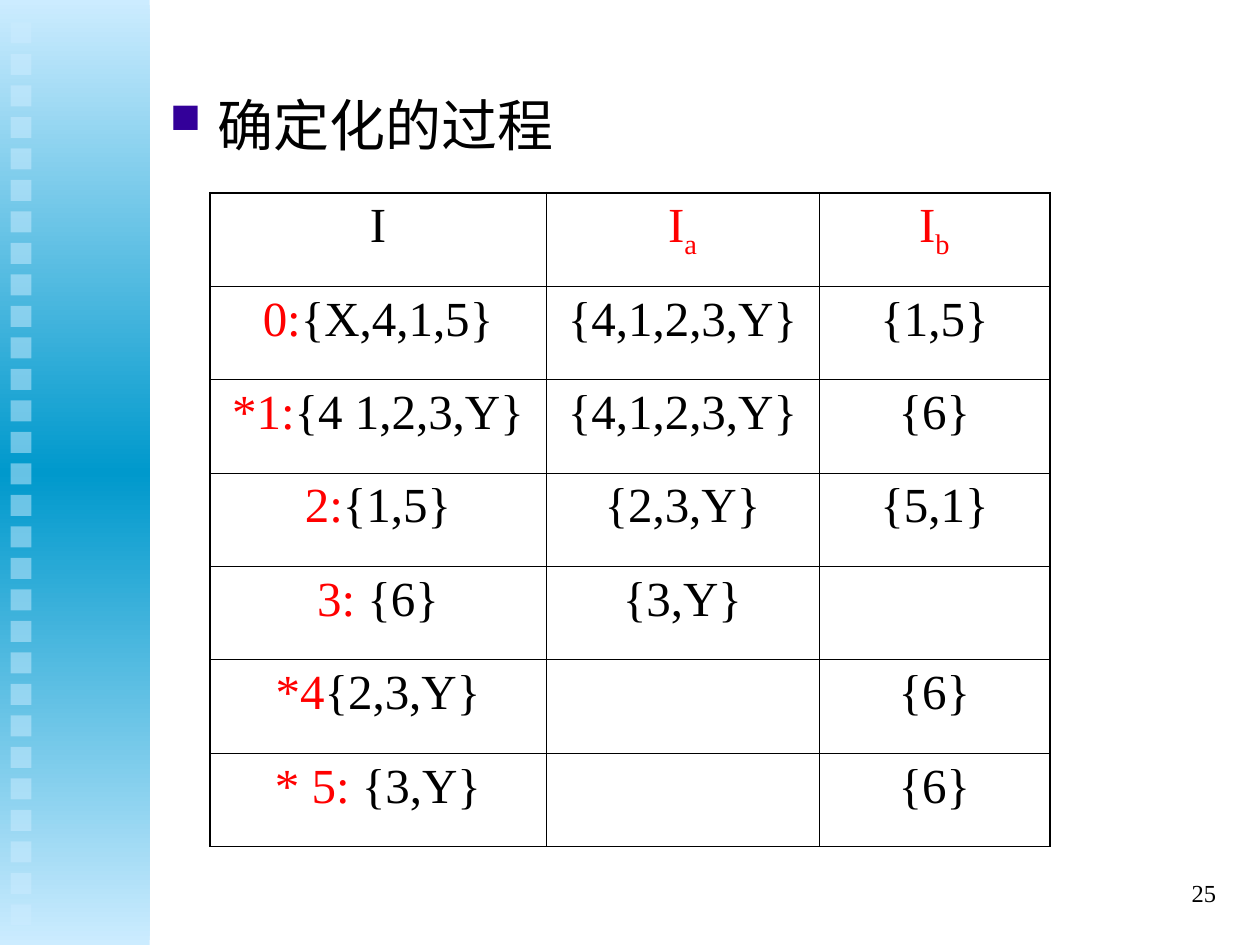
from copy import deepcopy

from lxml import etree
from pptx import Presentation
from pptx.dml.color import RGBColor
from pptx.enum.shapes import MSO_SHAPE
from pptx.enum.text import MSO_ANCHOR, PP_ALIGN
from pptx.oxml.ns import qn
from pptx.util import Inches, Pt

RECTANGLE = MSO_SHAPE.RECTANGLE
MIDDLE = MSO_ANCHOR.MIDDLE
CENTER, RIGHT = PP_ALIGN.CENTER, PP_ALIGN.RIGHT

BLACK = RGBColor(0x00, 0x00, 0x00)
RED = RGBColor(0xFF, 0x00, 0x00)
PALE_BLUE = RGBColor(0xCC, 0xEC, 0xFF)
DEEP_BLUE = RGBColor(0x00, 0x99, 0xCC)
INDIGO = RGBColor(0x33, 0x00, 0x99)

FONT = "Times New Roman"
GRID_COLUMNS, GRID_ROWS = 120, 90
SQUARE_COUNT = 29
COLUMN_SPANS = (32, 26, 22)
ROW_SPAN = 8.9
THIN, THICK = 0.45, 1.08

HEADINGS = (("", "I", ""), ("I", "", "a"), ("I", "", "b"))
STATES = (
    ("0:", "{X,4,1,5}", "{4,1,2,3,Y}", "{1,5}"),
    ("*1:", "{4 1,2,3,Y}", "{4,1,2,3,Y}", "{6}"),
    ("2:", "{1,5}", "{2,3,Y}", "{5,1}"),
    ("3: ", "{6}", "{3,Y}", ""),
    ("*4", "{2,3,Y}", "", "{6}"),
    ("* 5: ", "{3,Y}", "", "{6}"),
)


def grid(units):
    return round(Inches(10) * units / GRID_COLUMNS)


def box(*units):
    return [grid(unit) for unit in units]


def style_run(run, size, color=BLACK):
    run.font.name = FONT
    run.font.size = Pt(size)
    run.font.color.rgb = color


def add_rectangle(slide, *units):
    shape = slide.shapes.add_shape(RECTANGLE, *box(*units))
    shape.shadow.inherit = False
    shape.line.fill.background()
    return shape


def add_gradient_band(slide):
    band = add_rectangle(slide, 0, 0, 14.25, GRID_ROWS)
    band.fill.gradient()
    band.fill.gradient_angle = 90
    outer, middle = band.fill.gradient_stops
    outer.color.rgb, outer.position = PALE_BLUE, 0
    middle.color.rgb, middle.position = DEEP_BLUE, 0.5
    stops = band.element.spPr.find(".//" + qn("a:gsLst"))
    last = deepcopy(stops[0])
    last.set("pos", "100000")
    stops.append(last)


def add_square(slide, index):
    square = add_rectangle(slide, 1, 2.14 + 3 * index, 2, 2)
    square.fill.solid()
    square.fill.fore_color.rgb = PALE_BLUE
    color = square.element.spPr.find(".//" + qn("a:srgbClr"))
    etree.SubElement(color, qn("a:alpha"), val="50000")


def add_text(slide, text, size, *units):
    frame = slide.shapes.add_textbox(*box(*units)).text_frame
    frame.word_wrap = True
    frame.text = text
    paragraph = frame.paragraphs[0]
    style_run(paragraph.runs[0], size)
    return frame, paragraph


def add_square_bullet(paragraph):
    properties = paragraph._p.get_or_add_pPr()
    properties.set("marL", str(Inches(0.38)))
    properties.set("indent", str(-Inches(0.38)))
    color = etree.SubElement(properties, qn("a:buClr"))
    etree.SubElement(color, qn("a:srgbClr"), val=str(INDIGO))
    etree.SubElement(properties, qn("a:buSzPct"), val="75000")
    etree.SubElement(properties, qn("a:buChar"), char="■")


def set_borders(cell, widths):
    properties = cell._tc.get_or_add_tcPr()
    for side, width in zip("LRTB", widths):
        line = etree.SubElement(properties, qn("a:ln" + side), w=str(Pt(width)))
        fill = etree.SubElement(line, qn("a:solidFill"))
        etree.SubElement(fill, qn("a:srgbClr"), val=str(BLACK))


def fill_cell(cell, parts):
    paragraph = cell.text_frame.paragraphs[0]
    paragraph.alignment = CENTER
    paragraph.space_before = Pt(7)
    for text, color, baseline in parts:
        if text:
            run = paragraph.add_run()
            run.text = text
            style_run(run, 28, color)
            if baseline:
                run.font._element.set("baseline", str(baseline))


def table_parts():
    yield [
        [(name, RED, 0), (plain, BLACK, 0), (subscript, RED, -25000)]
        for name, plain, subscript in HEADINGS
    ]
    for label, *sets in STATES:
        cells = [[(text, BLACK, 0)] for text in sets]
        cells[0].insert(0, (label, RED, 0))
        yield cells


def add_state_table(slide):
    rows = list(table_parts())
    last_row, last_column = len(rows) - 1, len(COLUMN_SPANS) - 1
    frame = slide.shapes.add_table(
        len(rows), len(COLUMN_SPANS),
        *box(20, 18.35, sum(COLUMN_SPANS), ROW_SPAN * len(rows)))
    table = frame.table
    table.first_row = table.horz_banding = False
    for column, span in zip(table.columns, COLUMN_SPANS):
        column.width = grid(span)
    for row_index, cells in enumerate(rows):
        table.rows[row_index].height = grid(ROW_SPAN)
        for column_index, parts in enumerate(cells):
            cell = table.cell(row_index, column_index)
            outer_sides = (column_index == 0, column_index == last_column,
                           row_index == 0, row_index == last_row)
            set_borders(cell, [THICK if outer else THIN for outer in outer_sides])
            cell.fill.background()
            fill_cell(cell, parts)


def main():
    presentation = Presentation()
    presentation.slide_width = Inches(10)
    presentation.slide_height = Inches(7.5)
    slide = presentation.slides.add_slide(presentation.slide_layouts[6])

    add_gradient_band(slide)
    for index in range(SQUARE_COUNT):
        add_square(slide, index)

    _, heading = add_text(slide, "确定化的过程", 32, 15, 8, 102, 72)
    heading.space_before = Pt(8)
    add_square_bullet(heading)

    add_state_table(slide)

    number_frame, number = add_text(slide, "25", 14, 92, 82, 25, 6)
    number_frame.vertical_anchor = MIDDLE
    number.alignment = RIGHT

    presentation.save("out.pptx")


if __name__ == "__main__":
    main()
